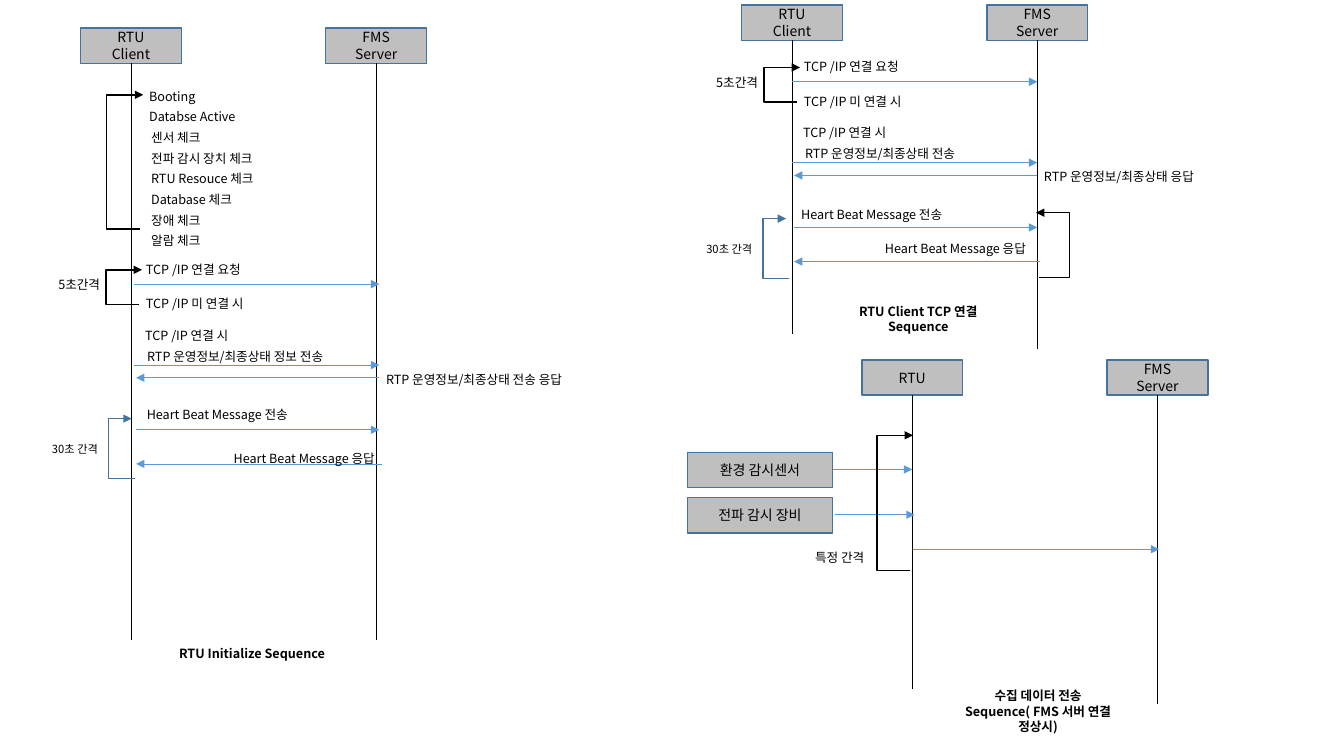
from dataclasses import dataclass

from lxml.etree import SubElement
from pptx import Presentation
from pptx.dml.color import RGBColor
from pptx.enum.shapes import MSO_CONNECTOR as Connector, MSO_SHAPE as Preset
from pptx.enum.text import MSO_ANCHOR as Anchor, MSO_AUTO_SIZE as AutoSize, PP_ALIGN as Align
from pptx.oxml.ns import qn
from pptx.util import Cm, Pt


@dataclass(frozen=True)
class Theme:
    font: str = "Noto Sans CJK KR"
    black: str = "000000"
    box_fill: str = "BFBFBF"
    box_line: str = "43739E"
    message: str = "5B9BD5"
    box_size: float = 10
    label_size: float = 9
    small_size: float = 8
    thin: float = 0.5
    thick: float = 1


SERVER_OFFSET = 6.18
BOX_WIDTH, BOX_HEIGHT = 2.54, 0.89


class SequenceSlide:
    """Draws sequence diagram parts; all coordinates are centimetres."""

    def __init__(self, slide, theme):
        self.slide = slide
        self.theme = theme

    def fill_text(self, frame, lines, size, bold=False, align=Align.LEFT):
        for index, line in enumerate(lines):
            paragraph = frame.paragraphs[0] if index == 0 else frame.add_paragraph()
            paragraph.text = line
            paragraph.alignment = align
            font = paragraph.font
            font.size = Pt(size)
            font.bold = bold
            font.color.rgb = RGBColor.from_string(self.theme.black)
            font.name = self.theme.font
            defaults = paragraph._p.pPr.find(qn("a:defRPr"))
            SubElement(defaults, qn("a:ea"), typeface=self.theme.font)

    def stroke(self, shape, color, width, arrow):
        shape.line.color.rgb = RGBColor.from_string(color)
        shape.line.width = Pt(width)
        if arrow:
            outline = shape._element.spPr.find(qn("a:ln"))
            SubElement(outline, qn("a:tailEnd"), type="triangle")

    def box(self, x, y, width, *lines):
        shape = self.slide.shapes.add_shape(
            Preset.RECTANGLE, Cm(x), Cm(y), Cm(width), Cm(BOX_HEIGHT))
        shape.shadow.inherit = False
        shape.fill.solid()
        shape.fill.fore_color.rgb = RGBColor.from_string(self.theme.box_fill)
        self.stroke(shape, self.theme.box_line, self.theme.thick, arrow=False)
        shape.text_frame.vertical_anchor = Anchor.MIDDLE
        self.fill_text(shape.text_frame, lines, self.theme.box_size, align=Align.CENTER)

    def text_box(self, x, y, width, height=0.64):
        frame = self.slide.shapes.add_textbox(Cm(x), Cm(y), Cm(width), Cm(height)).text_frame
        frame.word_wrap = True
        frame.auto_size = AutoSize.SHAPE_TO_FIT_TEXT
        return frame

    def label(self, x, y, width, text):
        self.fill_text(self.text_box(x, y, width), [text], self.theme.label_size)

    def small_label(self, x, y, width, text):
        frame = self.text_box(x, y, width, 0.61)
        frame.word_wrap = False
        self.fill_text(frame, [text], self.theme.small_size)

    def caption(self, x, y, text, height=0.64):
        frame = self.text_box(x, y, 5.18, height)
        frame.margin_left = frame.margin_right = Cm(0.66)
        self.fill_text(frame, [text], self.theme.label_size, bold=True, align=Align.CENTER)

    def line(self, start, end, color, arrow=False):
        connector = self.slide.shapes.add_connector(
            Connector.STRAIGHT, *(Cm(value) for value in (*start, *end)))
        self.stroke(connector, color, self.theme.thin, arrow)
        SubElement(connector._element.spPr, qn("a:effectLst"))

    def message(self, start_x, end_x, y):
        self.line((start_x, y), (end_x, y), self.theme.message, arrow=True)

    def bracket(self, start_x, spine_x, tip_x, bottom, top, color=None):
        """Open loop bracket whose arrow tip is at the top."""
        builder = self.slide.shapes.build_freeform(Cm(start_x), Cm(bottom), scale=1.0)
        corners = [(spine_x, bottom), (spine_x, top), (tip_x, top)]
        builder.add_line_segments([(Cm(x), Cm(y)) for x, y in corners], close=False)
        shape = builder.convert_to_shape()
        shape.shadow.inherit = False
        shape.fill.background()
        self.stroke(shape, color or self.theme.black, self.theme.thick, arrow=True)

    def participants(self, client_x, top, client_end, server_end, client_lines):
        """Client and server boxes with their lifelines."""
        columns = [(client_x, client_end, client_lines),
                   (client_x + SERVER_OFFSET, server_end, ("FMS", "Server"))]
        for x, end, lines in columns:
            self.box(x - BOX_WIDTH / 2, top, BOX_WIDTH, *lines)
            self.line((x, top + BOX_HEIGHT), (x, end), self.theme.black)

    def connection(self, x, y, send_text, reply_text):
        """TCP connection exchange, starting at its first message."""
        far = x + SERVER_OFFSET
        self.message(x, far, y)
        self.label(x + 0.05, y - 0.69, 3.71, "TCP /IP 연결 요청")
        self.label(x + 0.05, y + 0.18, 3.73, "TCP /IP 미 연결 시")
        self.bracket(x + 0.13, x - 0.71, x + 0.2, y + 0.51, y - 0.36)
        self.label(x - 2.16, y - 0.3, 1.73, "5초간격")
        self.label(x + 0.03, y + 0.97, 3.73, "TCP /IP 연결 시")
        self.message(x, far, y + 2.04)
        self.label(x + 0.08, y + 1.5, 5.4, send_text)
        self.message(far, x + 0.05, y + 2.36)
        self.label(far - 0.08, y + 2.08, 6, reply_text)
        self.message(x + 0.05, far, y + 3.67)
        self.message(far + 0.06, x + 0.05, y + 4.53)

    def heartbeat(self, x, y, reply_x, reply_y):
        """Heartbeat loop, placed by the top of its bracket spine."""
        self.bracket(x + 0.66, x, x + 0.58, y + 1.51, y, self.theme.box_line)
        self.small_label(x - 1.68, y + 0.48, 1.78, "30초 간격")
        self.label(x + 0.71, y - 0.42, 4.6, "Heart Beat Message 전송")
        self.label(reply_x, reply_y, 4.6, "Heart Beat Message 응답")

    def initialize_sequence(self):
        self.participants(3.3, 0.71, 16.13, 16.13, ("RTU", "Client"))
        steps = ["Booting", "Databse Active", "센서 체크", "전파 감시 장치 체크",
                 "RTU Resouce 체크", "Database 체크", "장애 체크", "알람 체크"]
        for index, step in enumerate(steps):
            self.label(3.51 if index < 2 else 3.56, 2.11 + 0.52 * index, 3.5, step)
        self.bracket(3.53, 2.69, 3.61, 5.77, 2.39)
        self.connection(3.38, 7.16, "RTP 운영정보/최종상태 정보 전송",
                        "RTP 운영정보/최종상태 전송 응답")
        self.heartbeat(2.74, 10.55, 5.64, 11.23)
        self.caption(3.76, 16.15, "RTU Initialize Sequence")

    def connect_sequence(self):
        self.participants(19.96, 0.13, 8.41, 8.79, ("RTU", "Client"))
        self.connection(19.96, 2.06, "RTP 운영정보/최종상태 전송",
                        "RTP 운영정보/최종상태 응답")
        self.heartbeat(19.23, 5.51, 22.05, 5.94)
        self.bracket(26.19, 26.95, 26.11, 6.99, 5.36)
        self.caption(20.55, 7.54, "RTU Client TCP 연결 Sequence")

    def collect_sequence(self):
        self.participants(22.99, 9.07, 17.37, 17.75, ("RTU",))
        for index, source in enumerate(["환경 감시센서", "전파 감시 장비"]):
            y = 11.4 + 1.14 * index
            self.box(17.32, y, 3.66, source)
            self.message(20.98 + 0.06 * index, 22.99 + 0.06 * index, y + 0.43)
        self.bracket(22.94, 22.1, 23.01, 14.38, 10.97)
        self.label(20.29, 13.74, 2.29, "특정 간격")
        self.message(23.01, 29.21, 13.84)
        self.caption(23.57, 17.22, "수집 데이터 전송 Sequence( FMS 서버 연결 정상시)", 1.42)


def main():
    presentation = Presentation()
    presentation.slide_width = Cm(33.87)
    presentation.slide_height = Cm(19.05)
    blank_layout = presentation.slide_layouts[6]
    diagram = SequenceSlide(presentation.slides.add_slide(blank_layout), Theme())
    diagram.initialize_sequence()
    diagram.connect_sequence()
    diagram.collect_sequence()
    presentation.save("out.pptx")


if __name__ == "__main__":
    main()
